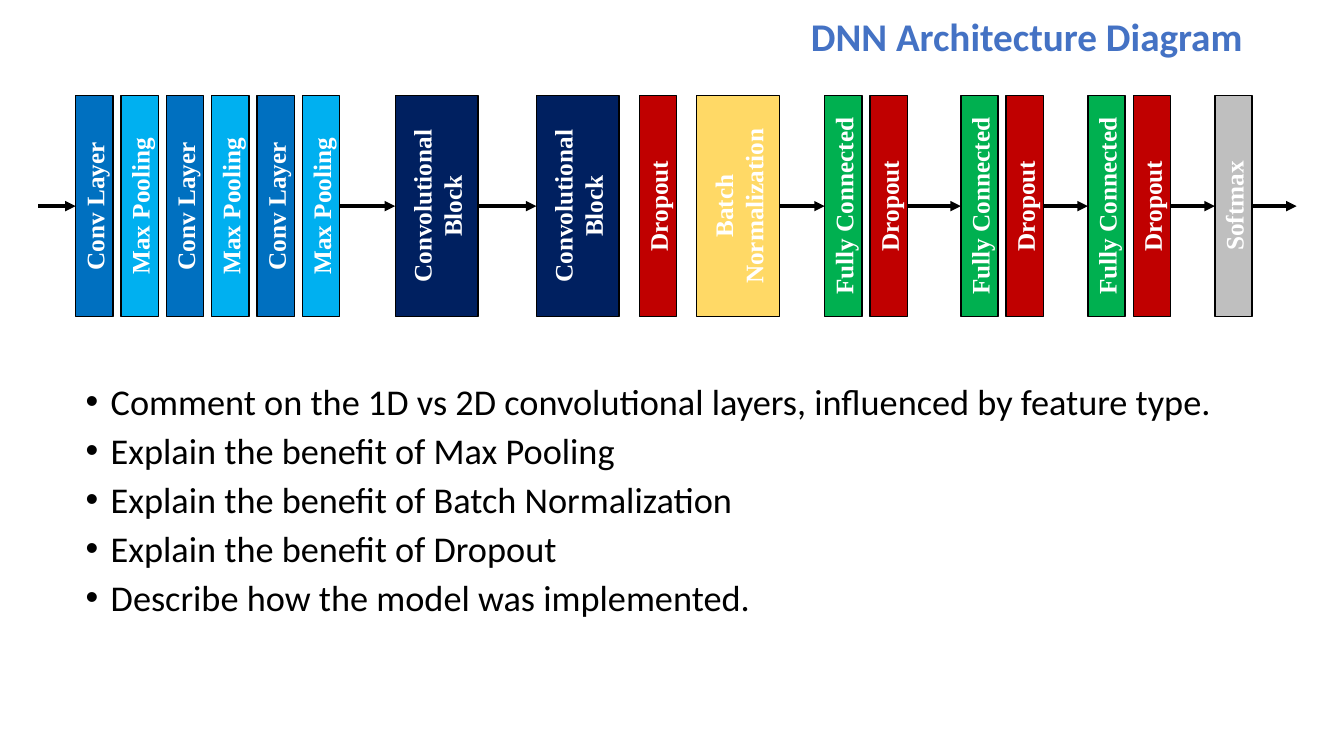
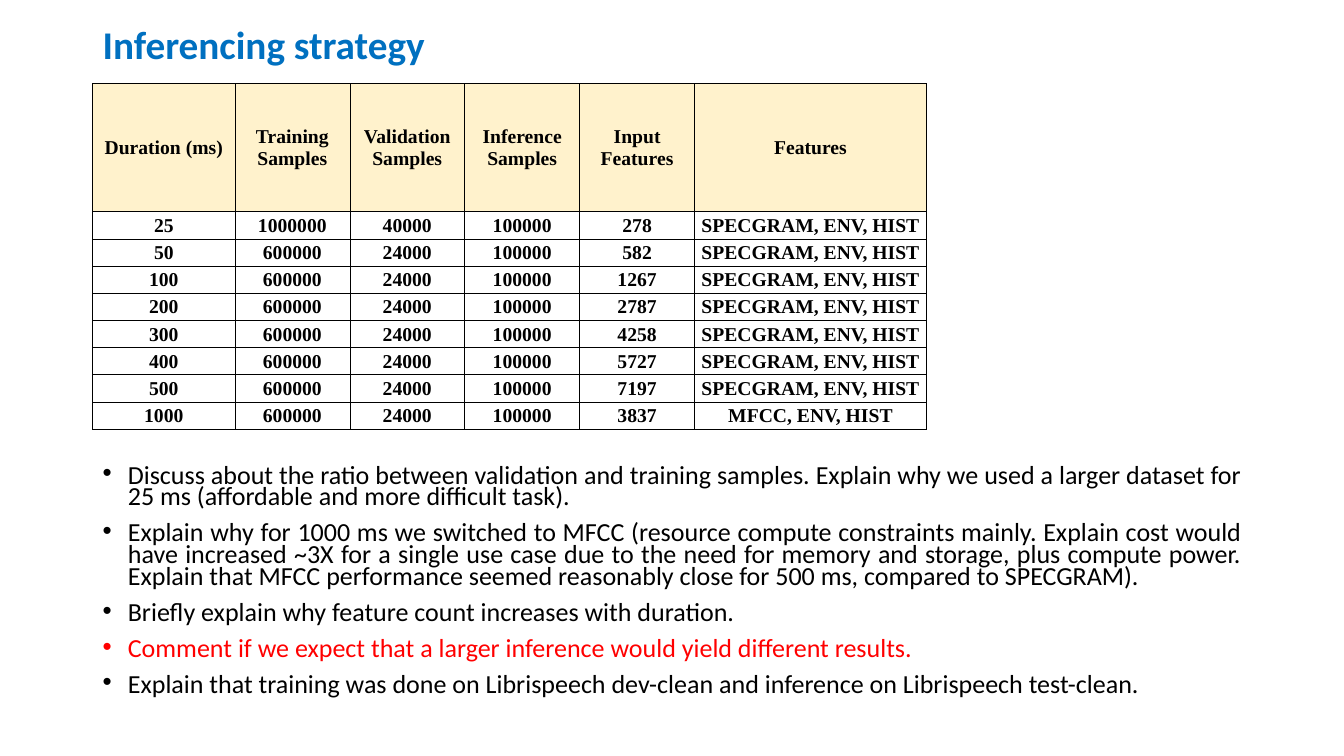
from lxml import etree
from pptx import Presentation
from pptx.dml.color import RGBColor
from pptx.enum.shapes import MSO_CONNECTOR, MSO_SHAPE
from pptx.enum.text import MSO_ANCHOR, PP_ALIGN
from pptx.oxml.ns import qn
from pptx.util import Inches, Pt

RECTANGLE = MSO_SHAPE.RECTANGLE
STRAIGHT = MSO_CONNECTOR.STRAIGHT
TOP, MIDDLE = MSO_ANCHOR.TOP, MSO_ANCHOR.MIDDLE
LEFT, RIGHT = PP_ALIGN.LEFT, PP_ALIGN.RIGHT
CENTER, JUSTIFY = PP_ALIGN.CENTER, PP_ALIGN.JUSTIFY
LEFT_SIDE, RIGHT_SIDE = 1, 3

BODY_FONT = "Calibri"
DIAGRAM_FONT = "Times New Roman"

BLACK = RGBColor(0x00, 0x00, 0x00)
WHITE = RGBColor(0xFF, 0xFF, 0xFF)
BLUE = RGBColor(0x00, 0x70, 0xC0)
TITLE_BLUE = RGBColor(0x44, 0x72, 0xC4)
SKY = RGBColor(0x00, 0xB0, 0xF0)
NAVY = RGBColor(0x00, 0x20, 0x60)
YELLOW = RGBColor(0xFF, 0xD9, 0x66)
DARK_RED = RGBColor(0xC0, 0x00, 0x00)
GREEN = RGBColor(0x00, 0xB0, 0x50)
GRAY = RGBColor(0xBF, 0xBF, 0xBF)
CREAM = RGBColor(0xFF, 0xF2, 0xCC)
RED = RGBColor(0xFF, 0x00, 0x00)


def write(paragraph, text, size, color, align, font=BODY_FONT, bold=False):
    """Fill an empty paragraph with one formatted run."""
    paragraph.alignment = align
    run = paragraph.add_run()
    run.text = text
    run.font.name = font
    run.font.size = Pt(size)
    run.font.bold = bold
    run.font.color.rgb = color


def add_text(slide, box, anchor, lines, size, spacing, align, bulleted):
    """Add a text box; lines holds (text, colour) pairs."""
    frame = slide.shapes.add_textbox(*[Inches(value) for value in box]).text_frame
    frame.word_wrap = True
    frame.vertical_anchor = anchor
    for index, (text, color) in enumerate(lines):
        paragraph = frame.add_paragraph() if index else frame.paragraphs[0]
        write(paragraph, text, size, color, align, bold=not bulleted)
        paragraph.line_spacing = spacing
        if bulleted:
            paragraph.space_before = Pt(10)
            properties = paragraph._p.get_or_add_pPr()
            properties.set("marL", str(Inches(0.25)))
            properties.set("indent", str(Inches(-0.25)))
            etree.SubElement(properties, qn("a:buFont"), typeface="Arial")
            etree.SubElement(properties, qn("a:buChar"), char="•")


presentation = Presentation()
presentation.slide_width = Inches(13.33)
presentation.slide_height = Inches(7.5)
blank = presentation.slide_layouts[6]

# Slide 1: network diagram
slide = presentation.slides.add_slide(blank)
add_text(slide, (7.32, 0.03, 5.1, 0.71), MIDDLE,
         [("DNN Architecture Diagram", TITLE_BLUE)], 28, 0.9, RIGHT, False)
topics = [
    "Comment on the 1D vs 2D convolutional layers, influenced by feature type.",
    "Explain the benefit of Max Pooling",
    "Explain the benefit of Batch Normalization",
    "Explain the benefit of Dropout",
    "Describe how the model was implemented.",
]
add_text(slide, (0.75, 3.8, 11.67, 2.58), TOP,
         [(topic, BLACK) for topic in topics], 25.9, 0.8, JUSTIFY, True)

NARROW, WIDE = 0.37, 0.82
LAYER_TOP, LAYER_HEIGHT = 0.95, 2.19
layer_styles = {
    "Conv Layer": (NARROW, BLUE),
    "Max Pooling": (NARROW, SKY),
    "Convolutional Block": (WIDE, NAVY),
    "Batch Normalization": (WIDE, YELLOW),
    "Fully Connected": (NARROW, GREEN),
    "Dropout": (NARROW, DARK_RED),
    "Softmax": (NARROW, GRAY),
}
# Left edge, gap between layers, layer names; arrows run from group to group
layer_groups = [
    (0.75, 0.08, ["Conv Layer", "Max Pooling"] * 3),
    (3.92, 0, ["Convolutional Block"]),
    (5.32, 0.2, ["Convolutional Block", "Dropout", "Batch Normalization"]),
    (8.18, 0.08, ["Fully Connected", "Dropout"]),
    (9.53, 0.08, ["Fully Connected", "Dropout"]),
    (10.79, 0.08, ["Fully Connected", "Dropout"]),
    (12.05, 0, ["Softmax"]),
]
group_ends = []
for left, gap, names in layer_groups:
    layers = []
    for name in names:
        width, color = layer_styles[name]
        layer = slide.shapes.add_shape(RECTANGLE, Inches(left), Inches(LAYER_TOP),
                                       Inches(width), Inches(LAYER_HEIGHT))
        layer.shadow.inherit = False
        layer.fill.solid()
        layer.fill.fore_color.rgb = color
        layer.line.color.rgb = BLACK
        layer.line.width = Pt(1)
        frame = layer.text_frame
        frame.word_wrap = True
        frame.vertical_anchor = MIDDLE
        frame.margin_left = frame.margin_right = Inches(0.05)
        frame.margin_top = frame.margin_bottom = Inches(0.1)
        frame._txBody.bodyPr.set("vert", "vert270")
        write(frame.paragraphs[0], name, 18, WHITE, CENTER, DIAGRAM_FONT, True)
        layers.append(layer)
        left += width + gap
    group_ends.append((layers[0], layers[-1]))

arrow_y = Inches(LAYER_TOP + LAYER_HEIGHT / 2)
sources = [None] + [last for first, last in group_ends]
targets = [first for first, last in group_ends] + [None]
for source, target in zip(sources, targets):
    arrow = slide.shapes.add_connector(STRAIGHT, Inches(0.38), arrow_y,
                                       Inches(12.86), arrow_y)
    if source is not None:
        arrow.begin_connect(source, RIGHT_SIDE)
    if target is not None:
        arrow.end_connect(target, LEFT_SIDE)
    arrow.line.color.rgb = BLACK
    arrow.line.width = Pt(2.5)
    etree.SubElement(arrow.line._get_or_add_ln(), qn("a:tailEnd"), type="triangle")
    etree.SubElement(arrow._element.spPr, qn("a:effectLst"))

# Slide 2: sample table
slide = presentation.slides.add_slide(blank)
add_text(slide, (0.92, 0.11, 11.5, 0.71), MIDDLE,
         [("Inferencing strategy", BLUE)], 28, 0.9, LEFT, False)
notes = [
    ("Discuss about the ratio between validation and training samples. Explain why "
     "we used a larger dataset for 25 ms (affordable and more difficult task).", BLACK),
    ("Explain why for 1000 ms we switched to MFCC (resource compute constraints "
     "mainly. Explain cost would have increased ~3X for a single use case due to the "
     "need for memory and storage, plus compute power. Explain that MFCC performance "
     "seemed reasonably close for 500 ms, compared to SPECGRAM).", BLACK),
    ("Briefly explain why feature count increases with duration.", BLACK),
    ("Comment if we expect that a larger inference would yield different results.", RED),
    ("Explain that training was done on Librispeech dev-clean and inference on "
     "Librispeech test-clean.", BLACK),
]
add_text(slide, (0.92, 4.44, 11.5, 2.67), MIDDLE, notes, 18.6, 0.7, JUSTIFY, True)

SPECTROGRAM = "SPECGRAM, ENV, HIST"
rows = [
    ("Duration (ms)", "Training Samples", "Validation Samples",
     "Inference Samples", "Input Features", "Features"),
    ("25", "1000000", "40000", "100000", "278", SPECTROGRAM),
]
for duration, features in [("50", "582"), ("100", "1267"), ("200", "2787"),
                           ("300", "4258"), ("400", "5727"), ("500", "7197")]:
    rows.append((duration, "600000", "24000", "100000", features, SPECTROGRAM))
rows.append(("1000", "600000", "24000", "100000", "3837", "MFCC, ENV, HIST"))

column_widths = [1.41] + [1.14] * 4 + [2.3]
row_heights = [1.27] + [0.27] * 8
table = slide.shapes.add_table(len(rows), len(column_widths), Inches(0.92), Inches(0.83),
                               Inches(sum(column_widths)), Inches(sum(row_heights))).table
table.first_row = table.horz_banding = False
for column, width in zip(table.columns, column_widths):
    column.width = Inches(width)
for row_index, (values, height) in enumerate(zip(rows, row_heights)):
    table.rows[row_index].height = Inches(height)
    for column_index, value in enumerate(values):
        cell = table.cell(row_index, column_index)
        cell.vertical_anchor = MIDDLE
        cell.margin_left = cell.margin_right = cell.margin_top = Inches(0.01)
        cell.margin_bottom = 0
        write(cell.text_frame.paragraphs[0], value, 14, BLACK, CENTER, DIAGRAM_FONT, True)
        cell_properties = cell._tc.get_or_add_tcPr()
        for side in ("a:lnL", "a:lnR", "a:lnT", "a:lnB"):
            border = etree.SubElement(cell_properties, qn(side), w=str(Pt(0.5)))
            border_fill = etree.SubElement(border, qn("a:solidFill"))
            etree.SubElement(border_fill, qn("a:srgbClr"), val=str(BLACK))
        if row_index == 0:
            cell.fill.solid()
            cell.fill.fore_color.rgb = CREAM
        else:
            cell.fill.background()

presentation.save("out.pptx")
